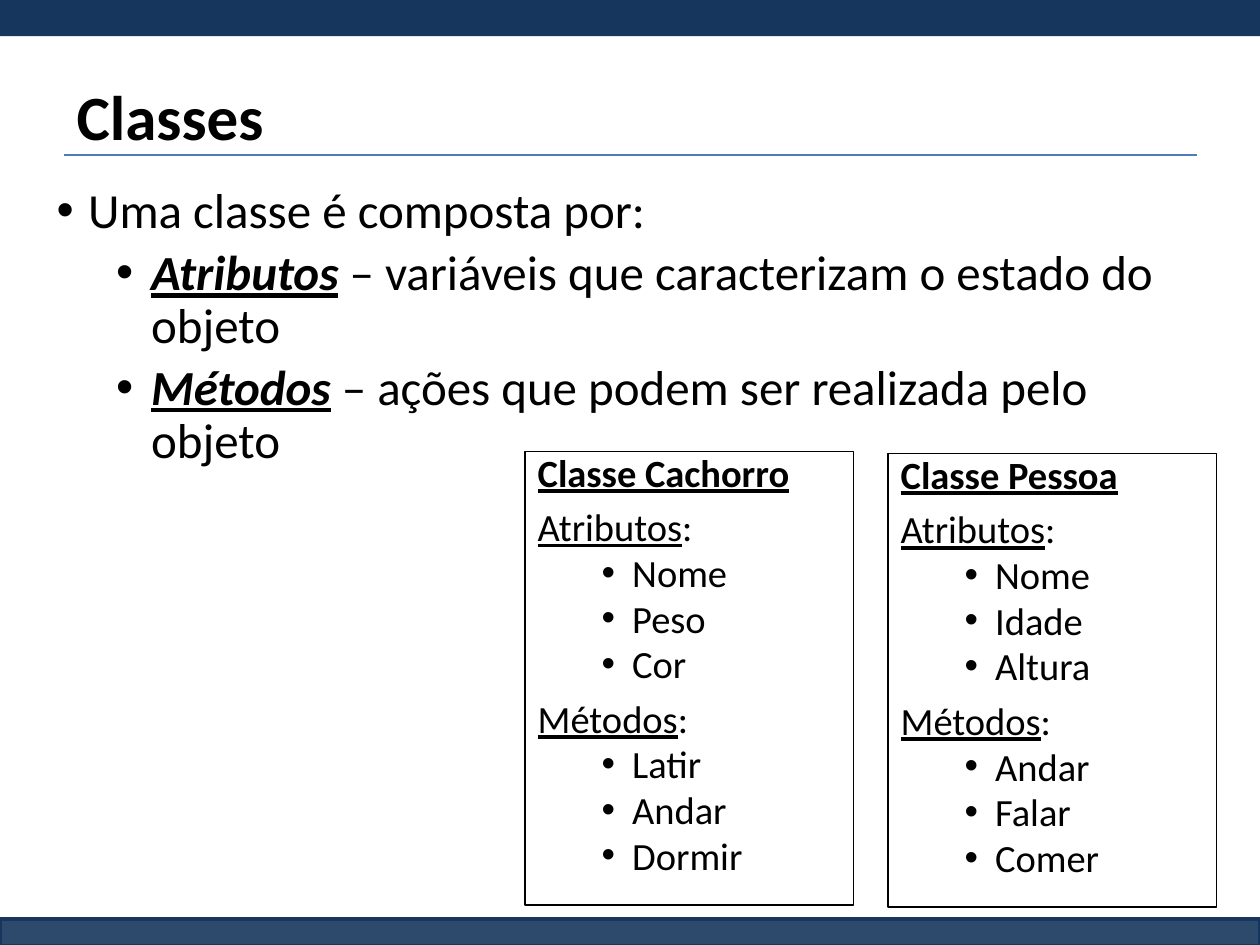
from lxml.etree import SubElement
from pptx import Presentation
from pptx.dml.color import RGBColor
from pptx.enum.shapes import MSO_CONNECTOR, MSO_SHAPE
from pptx.enum.text import MSO_ANCHOR, MSO_AUTO_SIZE, PP_ALIGN
from pptx.oxml.ns import qn
from pptx.util import Pt

COLORS = {"navy": "17365D", "rule": "4A7DBA", "text": "000000", "card": "FFFFFF"}
FONT = "Calibri"
STRONG = {"bold": True, "underline": True}
TERM = {**STRONG, "italic": True}
BODY_BULLET = {"level": 1, "indent": (54, -20), "before": 5}
CARD_BULLET = {"level": 1, "indent": (54, -17.5), "before": 5}


def rgb(name):
    """Return the named palette colour."""
    return RGBColor.from_string(COLORS[name])


def place(item, left, top, width, height):
    """Position and size an element in points."""
    for name, value in zip(("left", "top", "width", "height"), (left, top, width, height)):
        setattr(item, name, Pt(value))


def add_box(page, bounds, fill, line=None, weight=1):
    """Add a flat rectangle with an optional outline."""
    box = page.shapes.add_shape(MSO_SHAPE.RECTANGLE, *map(Pt, bounds))
    box.shadow.inherit = False
    box.fill.solid()
    box.fill.fore_color.rgb = rgb(fill)
    if line:
        box.line.color.rgb = rgb(line)
        box.line.width = Pt(weight)
    else:
        box.line.fill.background()
    return box


def add_bands(page):
    """Add the top band, the translucent bottom band and the title rule."""
    bottom = add_box(page, (0, 525, 720, 15.5), "navy", "navy", 2)
    color = bottom.fill._xPr.find(qn("a:solidFill"))[0]
    SubElement(color, qn("a:alpha"), val="90000")
    add_box(page, (0, 0, 720, 20.7), "navy")
    rule = page.shapes.add_connector(MSO_CONNECTOR.STRAIGHT, *map(Pt, (36.6, 88.5, 684, 88.5)))
    rule.line.color.rgb = rgb("rule")
    rule.line.width = Pt(0.75)
    SubElement(rule._element.spPr, qn("a:effectLst"))


def prepare_frame(box, anchor):
    """Set wrapping, anchor and insets, and return the text frame."""
    frame = box.text_frame
    settings = {
        "word_wrap": True, "auto_size": MSO_AUTO_SIZE.NONE, "vertical_anchor": anchor,
        "margin_left": Pt(7.2), "margin_right": Pt(7.2),
        "margin_top": Pt(3.6), "margin_bottom": Pt(3.6),
    }
    for name, value in settings.items():
        setattr(frame, name, value)
    return frame


def write_para(para, spans, size, spacing, level=0, indent=None, before=0):
    """Write formatted spans into a paragraph, bulleted when indented."""
    settings = {
        "alignment": PP_ALIGN.LEFT, "level": level, "line_spacing": spacing,
        "space_before": Pt(before), "space_after": Pt(0),
    }
    for name, value in settings.items():
        setattr(para, name, value)
    if indent:
        properties = para._p.get_or_add_pPr()
        for name, value in zip(("marL", "indent"), indent):
            properties.set(name, str(int(Pt(value))))
        bullet_color = SubElement(properties, qn("a:buClr"))
        SubElement(bullet_color, qn("a:srgbClr"), val=COLORS["text"])
        SubElement(properties, qn("a:buFont"), typeface="Arial")
        SubElement(properties, qn("a:buChar"), char="•")
    for text, style in spans:
        span = para.add_run()
        span.text = text
        span.font.color.rgb = rgb("text")
        for name, value in {"name": FONT, "size": Pt(size), **style}.items():
            setattr(span.font, name, value)


def write_text(box, paragraphs, size, spacing, anchor=MSO_ANCHOR.TOP):
    """Fill a shape with paragraphs given as spans and layout values."""
    frame = prepare_frame(box, anchor)
    for index, (spans, layout) in enumerate(paragraphs):
        para = frame.add_paragraph() if index else frame.paragraphs[0]
        write_para(para, spans, size, spacing, **layout)


def add_class_card(page, left, top, name, attributes, methods):
    """Add a card listing the attributes and methods of a class."""
    paragraphs = [([(f"Classe {name}", STRONG)], {})]
    for heading, members in (("Atributos", attributes), ("Métodos", methods)):
        paragraphs.append(([(heading, {"underline": True}), (":", {})], {"before": 10}))
        paragraphs += [([(member, {})], CARD_BULLET) for member in members]
    box = add_box(page, (left, top, 187.5, 259), "card", "text")
    write_text(box, paragraphs, 22, 0.8)


def main():
    """Build the slide about the parts of a class."""
    deck = Presentation()
    deck.slide_width, deck.slide_height = Pt(720), Pt(540)
    page = deck.slides.add_slide(deck.slide_layouts[1])
    add_bands(page)

    title, body = page.shapes.title, page.placeholders[1]
    place(title, 36.6, 43.2, 647.4, 51)
    write_text(title, [([("Classes", {"bold": True})], {})], 36, 0.9, MSO_ANCHOR.MIDDLE)

    place(body, 25.2, 103, 668, 171.4)
    definitions = [
        ("Atributos", "variáveis que caracterizam o estado do objeto"),
        ("Métodos", "ações que podem ser realizada pelo objeto"),
    ]
    paragraphs = [([("Uma classe é composta por:", {})], {"indent": (18, -18)})]
    paragraphs += [
        ([(term, TERM), (f" – {meaning}", {})], BODY_BULLET) for term, meaning in definitions
    ]
    write_text(body, paragraphs, 28, 0.9)

    add_class_card(page, 507.6, 259.2, "Pessoa",
                   ("Nome", "Idade", "Altura"), ("Andar", "Falar", "Comer"))
    add_class_card(page, 300.2, 258, "Cachorro",
                   ("Nome", "Peso", "Cor"), ("Latir", "Andar", "Dormir"))
    deck.save("out.pptx")


if __name__ == "__main__":
    main()
